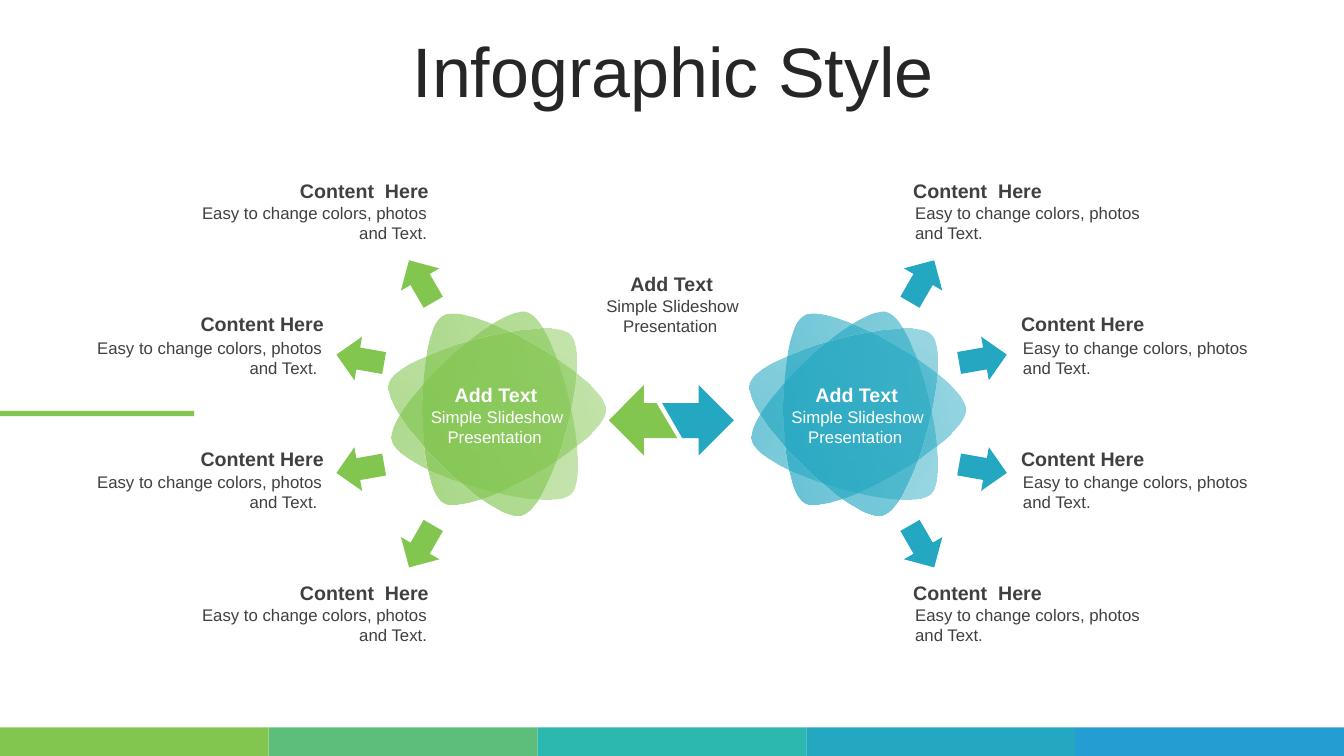
from pptx import Presentation
from pptx.dml.color import RGBColor
from pptx.enum.shapes import MSO_SHAPE
from pptx.enum.text import MSO_ANCHOR, MSO_AUTO_SIZE, PP_ALIGN
from pptx.oxml.ns import qn
from pptx.util import Pt
from lxml import etree

GREEN, BLUE, DARK, WHITE = "82C650", "24A8C2", "404040", "FFFFFF"


def paint(shape, color):
    shape.shadow.inherit = False
    shape.line.fill.background()
    shape.fill.solid()
    shape.fill.fore_color.rgb = RGBColor.from_string(color)


def add_text(text, left, top, width, height, size=12, bold=False, color=DARK, align=PP_ALIGN.LEFT):
    box = page.shapes.add_textbox(Pt(left), Pt(top), Pt(width), Pt(height))
    box.text_frame.word_wrap = True
    box.text_frame.auto_size = MSO_AUTO_SIZE.SHAPE_TO_FIT_TEXT
    para = box.text_frame.paragraphs[0]
    para.alignment = align
    span = para.add_run()
    span.text = text
    span.font.name = "Arial"
    span.font.size = Pt(size)
    span.font.bold = bold
    span.font.color.rgb = RGBColor.from_string(color)


deck = Presentation()
deck.slide_width, deck.slide_height = Pt(960), Pt(540)
page = deck.slides.add_slide(deck.slide_layouts[5])

for index, color in enumerate([GREEN, "5CBE7A", "2CB8AE", BLUE, "249ED2"]):
    band = page.shapes.add_shape(MSO_SHAPE.RECTANGLE, Pt(192 * index), Pt(519.5), Pt(192), Pt(20.5))
    paint(band, color)
accent = page.shapes.add_shape(MSO_SHAPE.RECTANGLE, Pt(0), Pt(293.5), Pt(138.7), Pt(3.8))
paint(accent, GREEN)

title = page.shapes.title
title.left, title.top, title.width, title.height = Pt(25.4), Pt(26.6), Pt(911.5), Pt(57)
title.text_frame.auto_size = MSO_AUTO_SIZE.NONE
title.text_frame.vertical_anchor = MSO_ANCHOR.MIDDLE
title.text_frame.text = "Infographic Style"
para = title.text_frame.paragraphs[0]
para.alignment = PP_ALIGN.CENTER
para.line_spacing = 0.8
para.font.name = "Arial"
para.font.size = Pt(50)
para.font.color.rgb = RGBColor.from_string("262626")

PETAL_WIDTH, PETAL_HEIGHT = 136.8, 129.6
petal_start = (68.4, 0)
petal_curves = [
    [(45.8, 0), (-10.1, 96), (1.5, 115.3)],
    [(12.5, 134.4), (124.3, 134.4), (135.3, 115.3)],
    [(146.9, 96), (91, 0), (68.4, 0)],
]
for shift, color in [(0, GREEN), (257.4, BLUE)]:
    for left, top, turn in [(274.3, 234.8, 256.5), (280.8, 237.6, 210), (287.3, 240.4, 165)]:
        x, y = left + shift, top
        right, bottom = x + PETAL_WIDTH, y + PETAL_HEIGHT
        builder = page.shapes.build_freeform(Pt(x), Pt(y))
        builder.add_line_segments([(Pt(right), Pt(y)), (Pt(right), Pt(bottom)), (Pt(x), Pt(bottom))])
        petal = builder.convert_to_shape()
        petal.rotation = turn
        outline = next(petal._element.iter(qn("a:path")))
        for part in list(outline):
            outline.remove(part)
        for tag, points in [("a:moveTo", [petal_start])] + [("a:cubicBezTo", curve) for curve in petal_curves]:
            segment = etree.SubElement(outline, qn(tag))
            for across, down in points:
                etree.SubElement(segment, qn("a:pt"), x=str(Pt(across)), y=str(Pt(down)))
        etree.SubElement(outline, qn("a:close"))
        paint(petal, color)
        petal.fill.gradient()
        petal.fill.gradient_angle = 225
        for stop, position in zip(petal.fill.gradient_stops, (0, 1)):
            stop.position = position
            stop.color.rgb = RGBColor.from_string(color)
        for tint, alpha in zip(petal._element.spPr.iter(qn("a:srgbClr")), ("70000", "46000")):
            etree.SubElement(tint, qn("a:alpha")).set("val", alpha)

double_arrow = [
    (BLUE, [(499, 275), (524.2, 300.2), (499, 325.4), (499, 313), (487.4, 313), (473, 288), (499, 288)]),
    (GREEN, [(460, 275), (460, 288), (469, 288), (483.8, 313), (460, 313), (460, 325.4), (434.9, 300.2)]),
]
for color, corners in double_arrow:
    points = [(Pt(x), Pt(y)) for x, y in corners]
    builder = page.shapes.build_freeform(*points[0])
    builder.add_line_segments(points[1:])
    paint(builder.convert_to_shape(), color)

ARROW_WIDTH, ARROW_HEIGHT, MIRROR_SPAN = 31.7, 34.6, 959.5
for left, top, turn in [(285, 183.6, 330), (241.5, 239, 280), (241.5, 317.5, 260), (285, 373, 210)]:
    mirrored = MIRROR_SPAN - left - ARROW_WIDTH
    for x, rotation, color in [(left, turn, GREEN), (mirrored, 360 - turn, BLUE)]:
        arrow = page.shapes.add_shape(MSO_SHAPE.UP_ARROW, Pt(x), Pt(top), Pt(ARROW_WIDTH), Pt(ARROW_HEIGHT))
        arrow.rotation = rotation
        paint(arrow, color)

for left, top, color in [(291, 270, WHITE), (548.6, 270, WHITE), (416.4, 190.8, DARK)]:
    add_text("Add Text", left, top, 126.7, 24.5, size=14, bold=True, color=color, align=PP_ALIGN.CENTER)
    add_text("Simple Slideshow Presentation ", left + 0.7, top + 17, 126.7, 36, color=color, align=PP_ALIGN.CENTER)

detail = "Easy to change colors, photos and Text."
outer = ("Content  Here", "", 122.8, 190.6, 645.2, 196.6)
inner = ("Content Here", " ", 56.3, 182.2, 722.2, 178.6)
rows = [(outer, 124.5, 141.2), (inner, 219.2, 237.6), (inner, 315.4, 333.4), (outer, 411.4, 428.4)]
for (heading, tail, left, left_width, right, right_width), heading_top, detail_top in rows:
    sides = [(left, left_width, PP_ALIGN.RIGHT, tail), (right, right_width, PP_ALIGN.LEFT, "")]
    for x, width, align, ending in sides:
        add_text(heading, x, heading_top, width, 24.5, size=14, bold=True, align=align)
        add_text(detail + ending, x + 1.4, detail_top, width - 2.7, 36, align=align)

deck.save("out.pptx")
